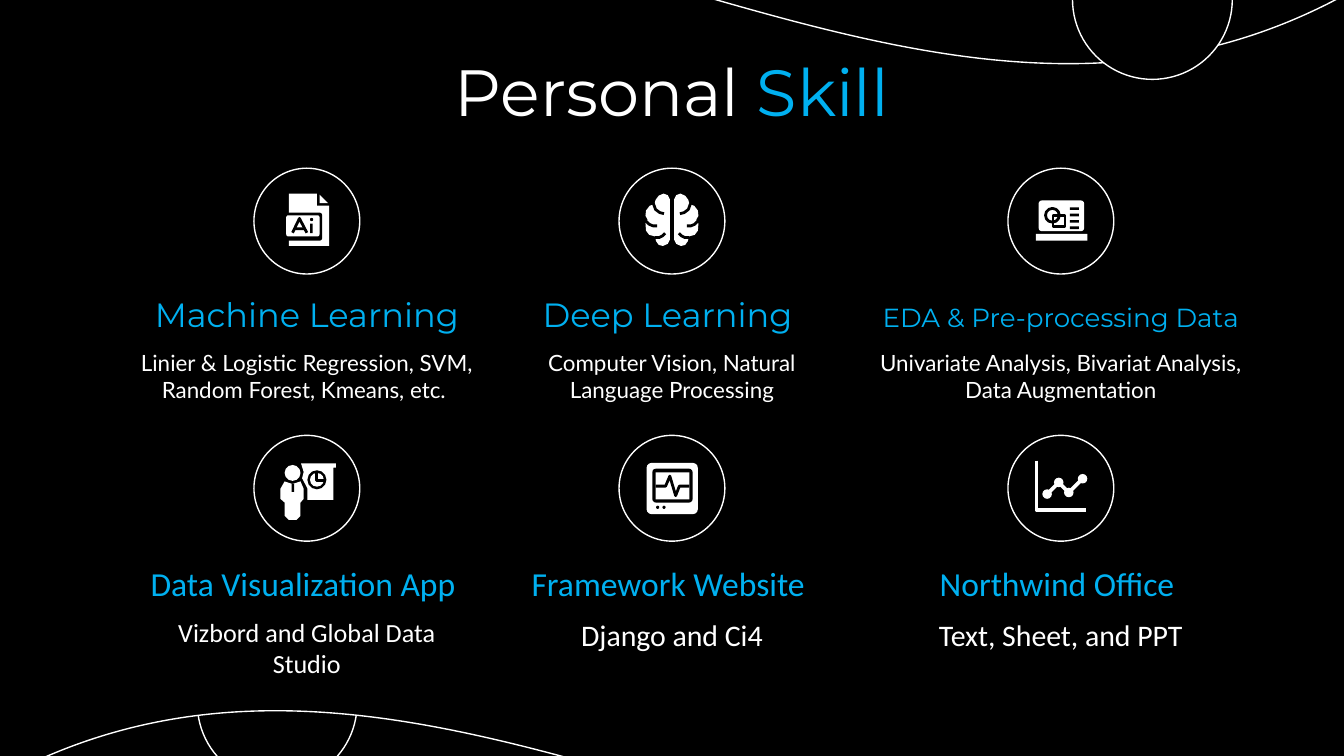
"""Build the Personal Skill slide with six icons and captions."""
from pptx import Presentation
from pptx.dml import color
from pptx.enum import shapes, text
from pptx.util import Cm, Pt

BLACK, WHITE, BLUE = "000000", "FFFFFF", "00B0F0"
OVAL, RECT = shapes.MSO_SHAPE.OVAL, shapes.MSO_SHAPE.RECTANGLE
ROUND, WAVE = shapes.MSO_SHAPE.ROUNDED_RECTANGLE, shapes.MSO_SHAPE.WAVE


def paint(form, fill=None, edge=None, width=0.75):
    form.shadow.inherit = False
    for part, tone in ((form.fill, fill), (form.line.fill, edge)):
        if tone:
            part.solid()
            part.fore_color.rgb = color.RGBColor.from_string(tone)
        else:
            part.background()
    if edge:
        form.line.width = Pt(width)


def write(runs, mid, top, width, height, size, font):
    box = slide.shapes.add_textbox(Cm(mid - width / 2), Cm(top), Cm(width), Cm(height))
    frame = box.text_frame
    frame.word_wrap = True
    frame.margin_left = frame.margin_right = Cm(0.25)
    frame.margin_top = frame.margin_bottom = Cm(0.25)
    para = frame.paragraphs[0]
    para.alignment = text.PP_ALIGN.CENTER
    for words, tone in runs:
        run = para.add_run()
        run.text = words
        run.font.size = Pt(size)
        run.font.name = font
        run.font.color.rgb = color.RGBColor.from_string(tone)


deck = Presentation()
deck.slide_width, deck.slide_height = Cm(25.4), Cm(14.29)
slide = deck.slides.add_slide(deck.slide_layouts[6])
back = slide.background.fill
back.solid()
back.fore_color.rgb = color.RGBColor.from_string(BLACK)

for kind, left, top, width, height in (
    (OVAL, 3.73, 11.79, 3.02, 3.02),
    (WAVE, -0.28, -1.75, 25.96, 18.14),
    (OVAL, 20.27, -1.52, 3.02, 3.02),
):
    form = slide.shapes.add_shape(kind, Cm(left), Cm(top), Cm(width), Cm(height))
    paint(form, BLACK, WHITE)
    if kind == WAVE:
        form.adjustments[0] = 0.083

write([("Personal ", WHITE), ("Skill", BLUE)], 12.7, 0.71, 21.4, 1.6, 35, "Montserrat")

# Each icon part: kind or None for a path, numbers in 0.01 cm, fill, edge, width
paper = [
    (None, [(-34, -52), (19, -52), (19, -29), (42, -29), (42, 47), (-34, 47), (-34, -52)], WHITE, None, 0),
    (None, [(24, -50), (24, -34), (40, -34), (24, -50)], WHITE, None, 0),
    (ROUND, (-39, -16, 68, 53), BLACK, None, 0),
    (ROUND, (-39, -11, 63, 40), WHITE, None, 0),
    (None, [(-27, 22), (-14, -5), (0, 22)], None, BLACK, 1.5),
    (RECT, (-22, 12, 17, 5), BLACK, None, 0),
    (OVAL, (6, -6, 6, 6), BLACK, None, 0),
    (RECT, (6, 5, 5, 18), BLACK, None, 0),
]

lobe = [(4, -41), (8, -49), (16, -52), (25, -48), (31, -40), (33, -32), (42, -29),
        (49, -20), (50, -10), (46, -3), (50, 5), (49, 18), (43, 26), (32, 29),
        (30, 38), (25, 45), (17, 47), (8, 43), (4, 35), (4, -41)]
folds = [[(15, -14), (23, -16), (31, -22), (35, -33)],
         [(28, 9), (36, 9), (43, 6), (49, 0)],
         [(13, 23), (18, 28), (24, 31), (32, 31)]]
brain = []
for side in (-1, 1):
    brain.append((None, [(side * x, y) for x, y in lobe], WHITE, None, 0))
    for fold in folds:
        brain.append((None, [(side * x, y) for x, y in fold], None, BLACK, 1.5))

laptop = [
    (ROUND, (-42, -39, 86, 58), WHITE, None, 0),
    (RECT, (-47, 24, 97, 13), WHITE, None, 0),
    (OVAL, (-29, -24, 26, 26), None, BLACK, 1.5),
    (RECT, (-15, -11, 23, 22), None, BLACK, 1.5),
]
for row in range(4):
    laptop.append((ROUND, (17, -26 + 12 * row, 17, 5), BLACK, None, 0))

talk = [
    (None, [(-11, -47), (55, -47), (55, -39), (50, -39), (50, 22), (1, 22), (1, 0),
            (-9, -19), (-6, -31), (-11, -47)], WHITE, None, 0),
    (OVAL, (-42, -44, 30, 30), WHITE, None, 0),
    (None, [(-42, -13), (-50, 1), (-50, 20), (-42, 27), (-42, 52), (-34, 60), (-20, 60),
            (-12, 52), (-12, 27), (-6, 20), (-6, 1), (-12, -13), (-27, -8), (-42, -13)], WHITE, None, 0),
    (RECT, (-29, -8, 5, 15), BLACK, None, 0),
    (OVAL, (1, -34, 36, 36), BLACK, None, 0),
    (OVAL, (6, -29, 26, 26), WHITE, None, 0),
    (None, [(19, -30), (19, -15), (34, -15)], None, BLACK, 1.5),
]

screen = [
    (ROUND, (-48, -48, 97, 97), WHITE, None, 0),
    (ROUND, (-37, -37, 76, 64), BLACK, None, 0),
    (RECT, (-31, -30, 64, 51), WHITE, None, 0),
    (None, [(-31, -4), (-12, -4), (-4, -23), (7, 14), (14, -4), (33, -4)], None, BLACK, 1.5),
    (OVAL, (-30, 33, 6, 6), BLACK, None, 0),
    (OVAL, (-18, 33, 6, 6), BLACK, None, 0),
]

dots = [(-26, 11), (-4, -11), (15, 8), (41, -18)]
graph = [
    (None, [(-46, -52), (-46, 41), (47, 41)], None, WHITE, 2),
    (None, dots, None, WHITE, 2),
]
for x, y in dots:
    graph.append((OVAL, (x - 9, y - 9, 18, 18), WHITE, None, 0))

mids, rows = (5.8, 12.7, 20.05), (4.18, 9.23)
skills = [
    (paper, "Machine Learning", 9.2, 18, "Montserrat", 1.13,
     "Linier & Logistic Regression, SVM, Random Forest, Kmeans, etc. ", 6.9, 12, "Lato"),
    (brain, "Deep Learning ", 6.5, 18, "Montserrat", 1.13,
     "Computer Vision, Natural Language Processing", 5.5, 12, "Lato"),
    (laptop, "EDA & Pre-processing Data", 8.7, 14, "Montserrat", 1.26,
     "Univariate Analysis, Bivariat Analysis, Data Augmentation", 7.55, 12, "Lato"),
    (talk, "Data Visualization App ", 6.6, 18, "Calibri", 1.16,
     "Vizbord and Global Data Studio", 5.5, 14, "Calibri"),
    (screen, "Framework Website ", 6, 18, "Calibri", 1.16,
     "Django and Ci4", 5.5, 16, "Calibri"),
    (graph, "Northwind Office ", 5.5, 18, "Calibri", 1.16,
     "Text, Sheet, and PPT", 5.5, 16, "Calibri"),
]
for spot, (icon, name, wide, size, font, drop, note, span, small, face) in enumerate(skills):
    mid, line = mids[spot % 3], rows[spot // 3]
    ring = slide.shapes.add_shape(OVAL, Cm(mid - 1), Cm(line - 1), Cm(2), Cm(2))
    paint(ring, BLACK, WHITE)
    for kind, data, fill, edge, width in icon:
        if kind is None:
            path = slide.shapes.build_freeform(*data[0], scale=Cm(0.01))
            path.add_line_segments(data[1:], close=data[0] == data[-1])
            form = path.convert_to_shape(Cm(mid), Cm(line))
        else:
            x, y, w, h = (n / 100 for n in data)
            form = slide.shapes.add_shape(kind, Cm(mid + x), Cm(line + y), Cm(w), Cm(h))
            if kind == ROUND:
                form.adjustments[0] = 0.1
        paint(form, fill, edge, width)
    write([(name, BLUE)], mid, line + drop, wide, 1.02, size, font)
    write([(note, WHITE)], mid, line + 2.17, span, 1.47, small, face)

deck.save("out.pptx")
